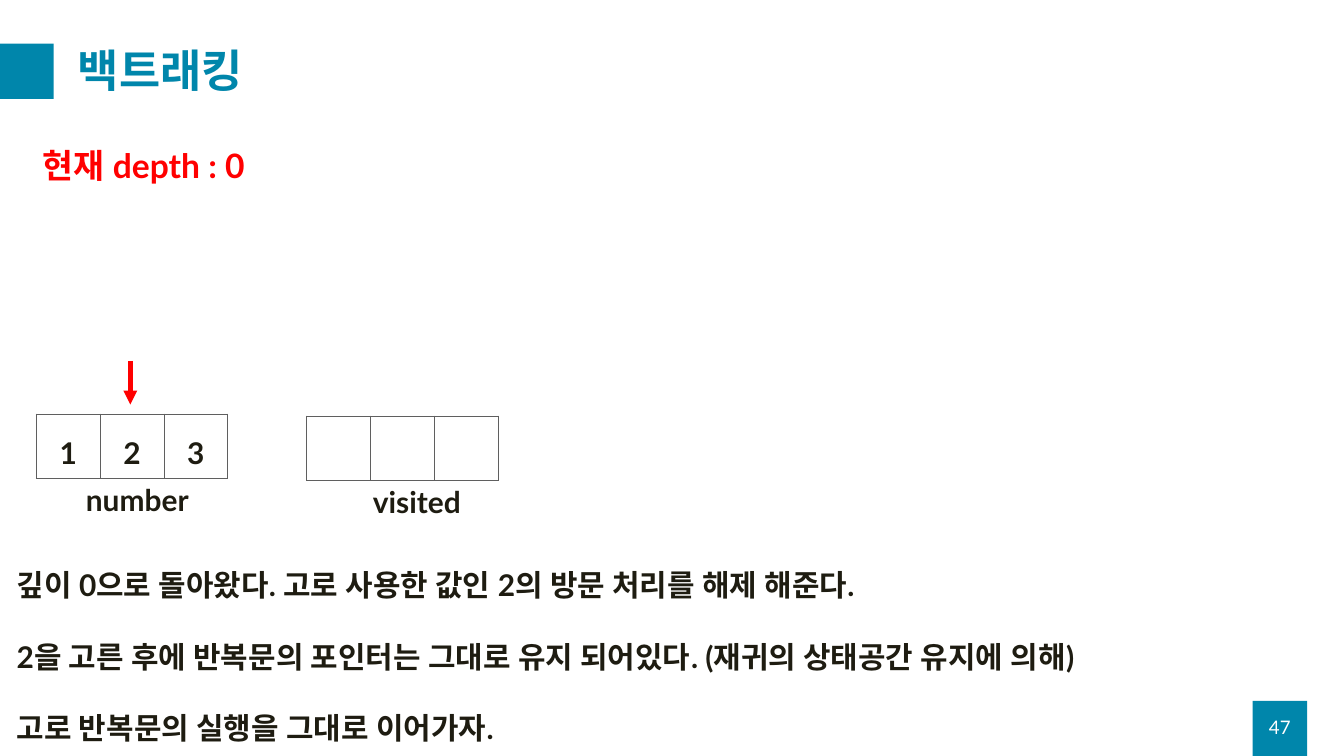
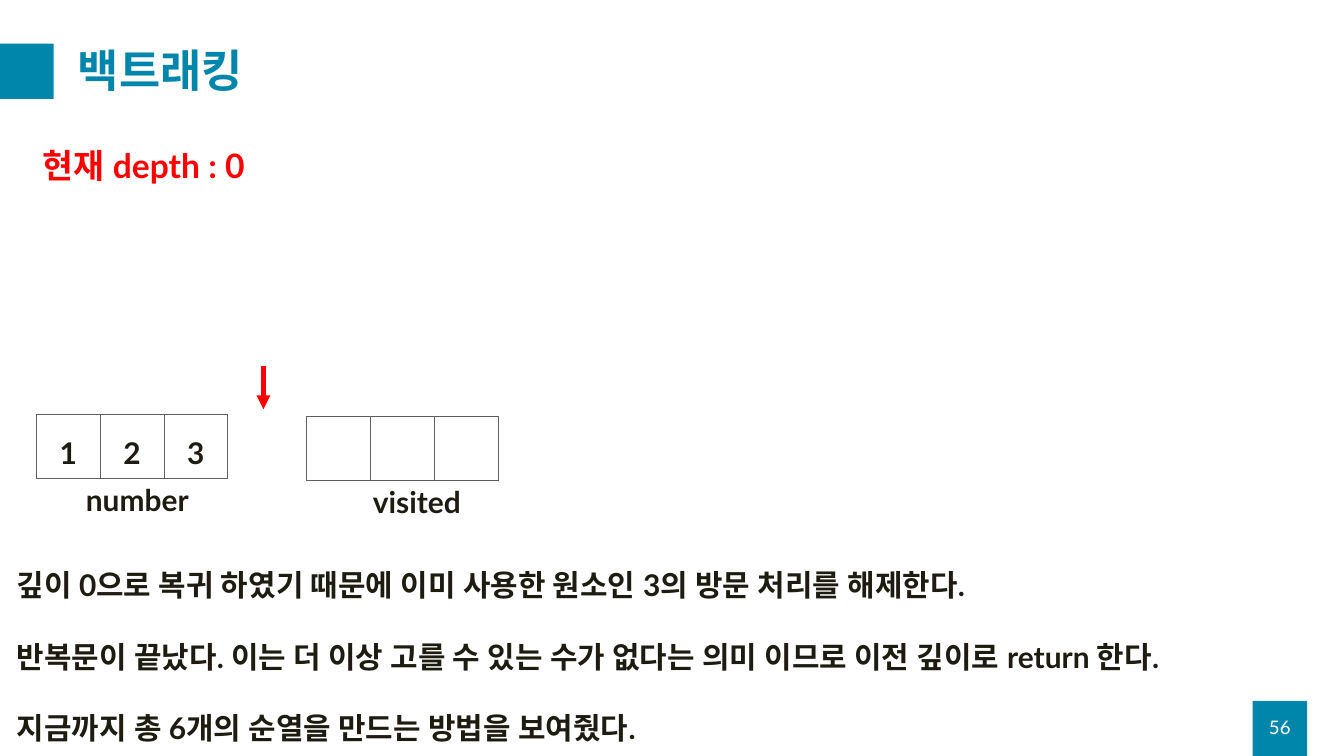
import lxml.etree
import pptx
import pptx.dml.color
import pptx.enum.shapes
import pptx.enum.text
import pptx.oxml.ns
import pptx.util

EMU_PER_PX = 9144
FONT = "Lato"
TEAL, INK, RED, WHITE, GRID = "0086AB", "1E1C11", "FF0000", "FFFFFF", "5F5F5F"
CELL_SIZE = 95
BOX_SIZE = (81, 82)
CENTER = pptx.enum.text.PP_ALIGN.CENTER
MIDDLE = pptx.enum.text.MSO_ANCHOR.MIDDLE

SLIDES = [
    {
        "number": 47,
        "pointer": (140, -79),
        "narration": [
            "깊이 0으로 돌아왔다. 고로 사용한 값인 2의 방문 처리를 해제 해준다.",
            "2을 고른 후에 반복문의 포인터는 그대로 유지 되어있다. (재귀의 상태공간 유지에 의해)",
            "고로 반복문의 실행을 그대로 이어가자.",
        ],
    },
    {
        "number": 56,
        "pointer": (338, -72),
        "narration": [
            "깊이 0으로 복귀 하였기 때문에 이미 사용한 원소인 3의 방문 처리를 해제한다.",
            "반복문이 끝났다. 이는 더 이상 고를 수 있는 수가 없다는 의미 이므로 이전 깊이로 return 한다.",
            "지금까지 총 6개의 순열을 만드는 방법을 보여줬다.",
        ],
    },
]


def px(*lengths):
    return [pptx.util.Emu(length * EMU_PER_PX) for length in lengths]


def rgb(color):
    return pptx.dml.color.RGBColor.from_string(color)


def add_xml(parent, tag, **attributes):
    return lxml.etree.SubElement(parent, pptx.oxml.ns.qn(tag), attributes)


def add_run(paragraph, text, size, color, bold=True):
    run = paragraph.add_run()
    run.text = text
    run.font.size = pptx.util.Pt(size)
    run.font.bold = bold
    run.font.name = FONT
    run.font.color.rgb = rgb(color)
    add_xml(run.font._element, "a:ea", typeface=FONT)


def add_text(slide, box, lines, size, color, gap=0):
    shape = slide.shapes.add_textbox(*px(*box))
    frame = shape.text_frame
    frame.word_wrap = True
    for index, line in enumerate(lines):
        paragraph = frame.add_paragraph() if index else frame.paragraphs[0]
        paragraph.space_before = pptx.util.Pt(gap if index else 0)
        add_run(paragraph, line, size, color)
    frame.auto_size = pptx.enum.text.MSO_AUTO_SIZE.SHAPE_TO_FIT_TEXT


def add_layout_bands(layout, slide):
    for left, top in [(1864, 1043), (-1, 65)]:
        band = slide.shapes.add_shape(
            pptx.enum.shapes.MSO_SHAPE.RECTANGLE, *px(left, top, *BOX_SIZE))
        band.shadow.inherit = False
        band.fill.solid()
        band.fill.fore_color.rgb = rgb(TEAL)
        band.line.fill.background()
        layout.shapes.element.insert(2, band.element)


def add_title(slide, box, text):
    title = slide.shapes.title
    title.left, title.top, title.width, title.height = px(*box)
    frame = title.text_frame
    frame.vertical_anchor = MIDDLE
    frame.auto_size = pptx.enum.text.MSO_AUTO_SIZE.NONE
    paragraph = frame.paragraphs[0]
    paragraph.alignment = pptx.enum.text.PP_ALIGN.LEFT
    paragraph.line_spacing = 0.9
    add_run(paragraph, text, 48, TEAL)


def add_page_number(slide, box, number):
    frame = slide.shapes.add_textbox(*px(*box)).text_frame
    frame.word_wrap = True
    frame.vertical_anchor = MIDDLE
    frame.paragraphs[0].alignment = CENTER
    add_run(frame.paragraphs[0], str(number), 20, WHITE, bold=False)


def format_cell(cell, value):
    properties = cell._tc.get_or_add_tcPr()
    for side in ("a:lnL", "a:lnR", "a:lnT", "a:lnB"):
        border = add_xml(properties, side, w=str(pptx.util.Pt(1)))
        add_xml(add_xml(border, "a:solidFill"), "a:srgbClr", val=GRID)
    cell.fill.solid()
    cell.fill.fore_color.rgb = rgb(WHITE)
    if value:
        paragraph = cell.text_frame.paragraphs[0]
        paragraph.alignment = CENTER
        paragraph.line_spacing = 1.5
        add_run(paragraph, value, 32, INK)


def add_array(slide, left, top, values, label, label_indent):
    width = CELL_SIZE * len(values)
    table = slide.shapes.add_table(
        1, len(values), *px(left, top, width, CELL_SIZE + 1)).table
    table.first_row = False
    table.horz_banding = False
    for column, value in enumerate(values):
        format_cell(table.cell(0, column), value)
    add_text(slide, (left + label_indent, top + CELL_SIZE + 1, 197, 64), [label], 32, INK)


def add_pointer(slide, left, top):
    pointer = slide.shapes.add_connector(
        pptx.enum.shapes.MSO_CONNECTOR.STRAIGHT, *px(left, top, left, top + 65))
    pointer.line.color.rgb = rgb(RED)
    pointer.line.width = pptx.util.Pt(5)
    add_xml(pointer.line._get_or_add_ln(), "a:tailEnd", type="triangle")
    add_xml(pointer.element.spPr, "a:effectLst")


def add_arrays(slide, left, top, pointer):
    add_array(slide, left, top, ["1", "2", "3"], "number", 64)
    add_array(slide, left + 402, top + 3, ["", "", ""], "visited", 89)
    add_pointer(slide, left + pointer[0], top + pointer[1])


def build_step(slide, step):
    add_title(slide, (106, 50, 1825, 118), "백트래킹")
    add_page_number(slide, (1864, 1052, 81, 60), step["number"])
    add_arrays(slide, 54, 616, step["pointer"])
    add_text(slide, (15, 838, 1916, 279), step["narration"], 32, INK, gap=38.4)
    add_text(slide, (54, 211, 656, 71), ["현재 depth : 0"], 36, RED)


def main():
    presentation = pptx.Presentation()
    presentation.slide_width, presentation.slide_height = px(2000, 1125)
    layout = presentation.slide_layouts.get_by_name("Title Only")
    slides = [presentation.slides.add_slide(layout) for step in SLIDES]
    add_layout_bands(layout, slides[0])
    for slide, step in zip(slides, SLIDES):
        build_step(slide, step)
    presentation.save("out.pptx")


if __name__ == "__main__":
    main()
